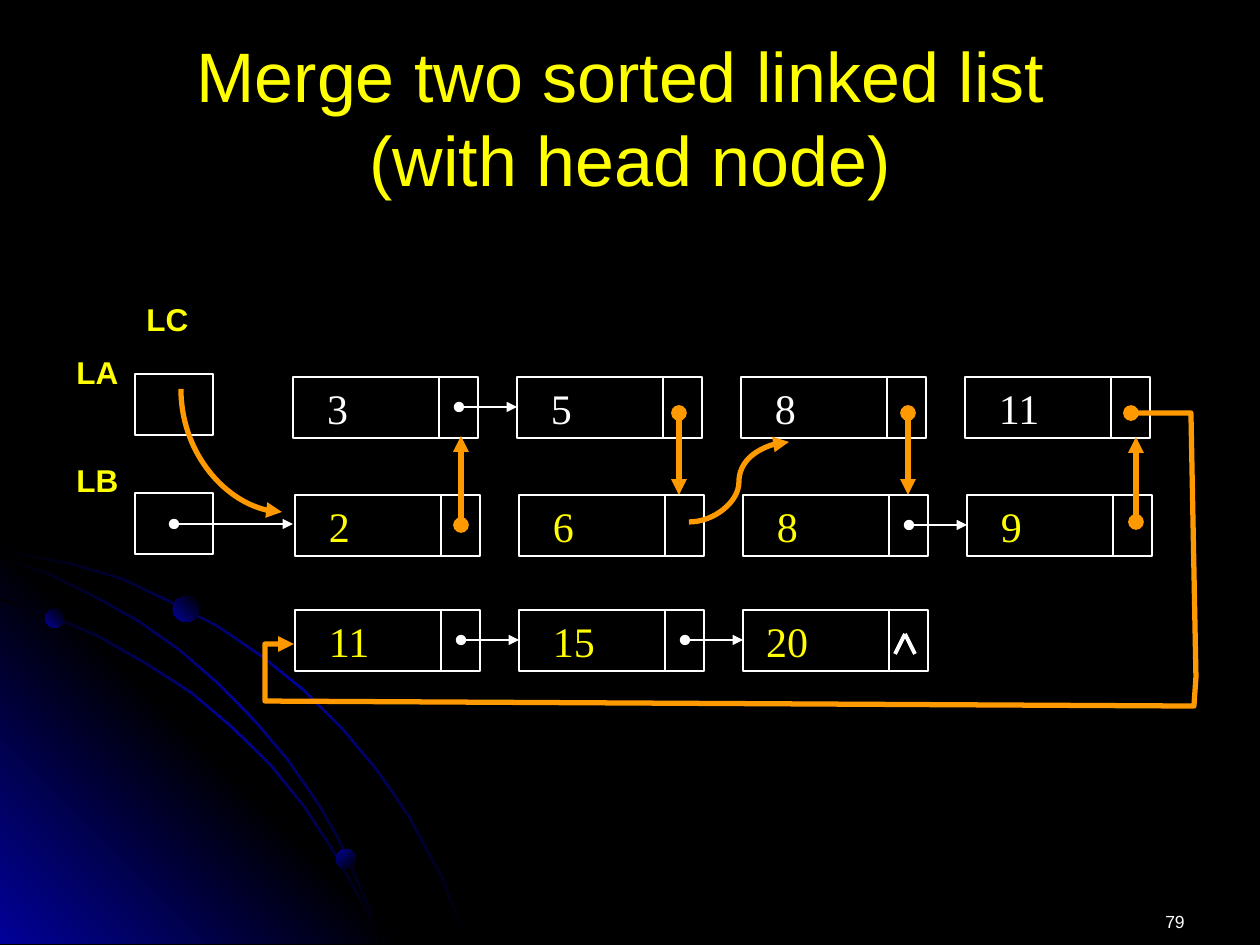
from dataclasses import dataclass

from lxml.etree import SubElement
from pptx import Presentation
from pptx.dml.color import RGBColor
from pptx.enum.shapes import MSO_CONNECTOR as Connector, MSO_SHAPE as Shape
from pptx.enum.text import MSO_ANCHOR as Anchor, MSO_AUTO_SIZE as AutoSize, PP_ALIGN as Align
from pptx.oxml.ns import qn
from pptx.util import Emu, Pt


def px(length):
    return Emu(round(length * 914400 / 126))


@dataclass(frozen=True)
class Theme:
    black: str = "000000"
    white: str = "FFFFFF"
    yellow: str = "FFFF00"
    orange: str = "FF9900"
    blue: str = "010199"
    sans: str = "Arial"
    serif: str = "Times New Roman"
    title_size: int = 40
    value_size: int = 24
    label_size: int = 18
    number_size: int = 10
    thin: float = 0.75
    medium: float = 2.25
    thick: float = 3


class ListDiagram:
    NODE_WIDTH, NODE_HEIGHT, NODE_STEP = 185, 61, 224
    DIVIDER, POINTER = 146, 166

    def __init__(self, slide, theme):
        self.slide = slide
        self.shapes = slide.shapes
        self.theme = theme

    def background(self):
        fill = self.slide.background.fill
        fill.solid()
        fill.fore_color.rgb = RGBColor.from_string(self.theme.black)

    def add_text_run(self, paragraph, text, size, color, font, bold=False):
        run = paragraph.add_run()
        run.text = text
        run.font.size = Pt(size)
        run.font.name = font
        run.font.bold = bold
        run.font.color.rgb = RGBColor.from_string(color)

    def title(self, *lines):
        shape = self.shapes.title
        shape.left, shape.top, shape.width, shape.height = map(px, (63, 38, 1134, 158))
        frame = shape.text_frame
        frame.auto_size = AutoSize.NONE
        frame.vertical_anchor = Anchor.MIDDLE
        paragraph = frame.paragraphs[0]
        paragraph.alignment = Align.CENTER
        for index, line in enumerate(lines):
            if index:
                paragraph.add_line_break()
            self.add_text_run(paragraph, line, self.theme.title_size, self.theme.yellow, self.theme.sans)

    def text(self, text, left, top, width, height, size, color, bold=False, align=Align.LEFT, inset=6):
        frame = self.shapes.add_textbox(px(left), px(top), px(width), px(height)).text_frame
        frame.word_wrap = True
        frame.margin_top = px(inset)
        paragraph = frame.paragraphs[0]
        paragraph.alignment = align
        self.add_text_run(paragraph, text, size, color, self.theme.sans, bold)

    def label(self, text, left, top):
        self.text(text, left, top, 67, 50, self.theme.label_size, self.theme.yellow, bold=True)

    def outline(self, shape, color, width, head=None, tail=None):
        shape.line.color.rgb = RGBColor.from_string(color)
        shape.line.width = Pt(width)
        line = shape._element.spPr.find(qn("a:ln"))
        for tag, kind in (("a:headEnd", head), ("a:tailEnd", tail)):
            if kind:
                SubElement(line, qn(tag), type=kind)

    def connector(self, start, end, color, width, head=None, tail=None, kind=Connector.STRAIGHT):
        connector = self.shapes.add_connector(kind, *map(px, (*start, *end)))
        self.outline(connector, color, width, head, tail)
        SubElement(connector._element.spPr, qn("a:effectLst"))
        return connector

    def link(self, start, end):
        self.connector(start, end, self.theme.white, self.theme.thin, "oval", "triangle")

    def new_link(self, start, end):
        self.connector(start, end, self.theme.orange, self.theme.thick, "oval", "triangle")

    def curve(self, start, end, head=None, tail=None, preset="curvedConnector3"):
        connector = self.connector(start, end, self.theme.orange, self.theme.thick,
                                   head, tail, Connector.CURVE)
        connector._element.spPr.find(qn("a:prstGeom")).set("prst", preset)

    def freeform(self, points, close):
        start, *rest = [(px(x), px(y)) for x, y in points]
        builder = self.shapes.build_freeform(*start)
        builder.add_line_segments(rest, close=close)
        shape = builder.convert_to_shape()
        shape.shadow.inherit = False
        return shape

    def new_link_route(self, points):
        shape = self.freeform(points, close=False)
        shape.fill.background()
        self.outline(shape, self.theme.orange, self.theme.thick, "oval", "triangle")

    def gradient(self, shape, colors, angle):
        shape.line.fill.background()
        shape.fill.gradient()
        shape.fill.gradient_angle = 360 - angle
        stops = shape._element.spPr.find(".//" + qn("a:gsLst"))
        stops.clear()
        for index, color in enumerate(colors):
            stop = SubElement(stops, qn("a:gs"), pos=str(100000 * index // (len(colors) - 1)))
            SubElement(stop, qn("a:srgbClr"), val=color)

    def orbit(self, points):
        """Draw a thin band along the points, its inner edge turning from below to the left."""
        last = len(points) - 1
        inner = [(x - 2.5 * i / last, y + 2.5 * (1 - i / last)) for i, (x, y) in enumerate(points)]
        band = self.freeform(points + inner[::-1], close=True)
        self.gradient(band, (self.theme.black, self.theme.blue, self.theme.black), 45)

    def corner_glow(self, points):
        glow = self.freeform(points, close=True)
        self.gradient(glow, (self.theme.blue, self.theme.black, self.theme.blue), 315)

    def planet(self, left, top, size, angle):
        planet = self.shapes.add_shape(Shape.OVAL, px(left), px(top), px(size), px(size))
        planet.shadow.inherit = False
        self.gradient(planet, (self.theme.blue, self.theme.black), angle)

    def box(self, left, top, width, height):
        box = self.shapes.add_shape(Shape.RECTANGLE, px(left), px(top), px(width), px(height))
        box.shadow.inherit = False
        box.fill.background()
        self.outline(box, self.theme.white, self.theme.thin)
        return box

    def node(self, value, left, top, color, indent=34):
        frame = self.box(left, top, self.NODE_WIDTH, self.NODE_HEIGHT).text_frame
        frame.word_wrap = True
        frame.vertical_anchor = Anchor.MIDDLE
        frame.margin_left = px(indent)
        paragraph = frame.paragraphs[0]
        paragraph.alignment = Align.LEFT
        self.add_text_run(paragraph, value, self.theme.value_size, color, self.theme.serif)
        divider = left + self.DIVIDER
        self.connector((divider, top), (divider, top + self.NODE_HEIGHT), self.theme.white, self.theme.thin)

    def row(self, values, left, top, color, linked, indents=()):
        """Draw a row of nodes; linked holds the indexes that point to their right neighbour."""
        for index, value in enumerate(values):
            x = left + index * self.NODE_STEP
            self.node(value, x, top, color, *indents[index:index + 1])
            if index in linked:
                y = top + self.NODE_HEIGHT // 2
                self.link((x + self.POINTER, y), (x + self.NODE_STEP, y))


def main():
    presentation = Presentation()
    presentation.slide_width, presentation.slide_height = px(1260), px(945)
    slide = presentation.slides.add_slide(presentation.slide_layouts[5])
    theme = Theme()
    diagram = ListDiagram(slide, theme)

    # Backdrop: corner glow, orbits and planets
    diagram.background()
    diagram.orbit([(0, 548), (35, 556), (72, 563), (123, 578), (171, 601), (219, 626), (263, 656), (305, 690),
                   (343, 728), (378, 770), (410, 816), (427, 848), (444, 879), (456, 911), (469, 944)])
    diagram.corner_glow([(406, 944), (0, 944), (0, 538)])
    diagram.orbit([(0, 598), (52, 615), (100, 636), (147, 663), (192, 692), (232, 726), (271, 764),
                   (305, 806), (335, 852), (360, 897), (373, 920), (382, 944)])
    diagram.orbit([(0, 557), (49, 573), (96, 596), (140, 621), (181, 650), (220, 684), (257, 722),
                   (289, 760), (320, 805), (339, 838), (355, 873), (370, 907), (382, 944)])
    for planet in ((45, 609, 19, 315), (336, 849, 20, 45), (173, 596, 26, 315)):
        diagram.planet(*planet)

    # Title and slide number
    diagram.title("Merge two sorted linked list ", "(with head node)")
    diagram.text("79", 903, 883, 294, 63, theme.number_size, theme.white, align=Align.RIGHT, inset=28)

    # List heads
    for name, left, top in (("LC", 134, 294), ("LA", 64, 347), ("LB", 64, 455)):
        diagram.label(name, left, top)
    for top in (374, 493):
        diagram.box(135, top, 78, 61)
    diagram.link((174, 524), (293, 524))

    # Nodes of both lists
    diagram.row(("3", "5", "8", "11"), 293, 377, theme.white, linked={0})
    diagram.row(("2", "6", "8", "9"), 295, 495, theme.yellow, linked={2})
    diagram.row(("11", "15", "20"), 295, 610, theme.yellow, linked={0, 1}, indents=(34, 34, 23))

    # End-of-list mark
    for foot in (895, 915):
        diagram.connector((foot, 654), (905, 634), theme.white, theme.medium)

    # Links made by the merge
    diagram.curve((282, 512), (181, 389), head="triangle", preset="curvedConnector2")
    diagram.curve((689, 522), (789, 442), tail="triangle")
    for x, start, end in ((461, 525, 436), (679, 413, 495), (908, 413, 495), (1136, 522, 437)):
        diagram.new_link((x, start), (x, end))
    diagram.new_link_route([(1131, 413), (1191, 413), (1196, 677), (1194, 706),
                            (265, 701), (265, 644), (294, 644)])

    presentation.save("out.pptx")


if __name__ == "__main__":
    main()
